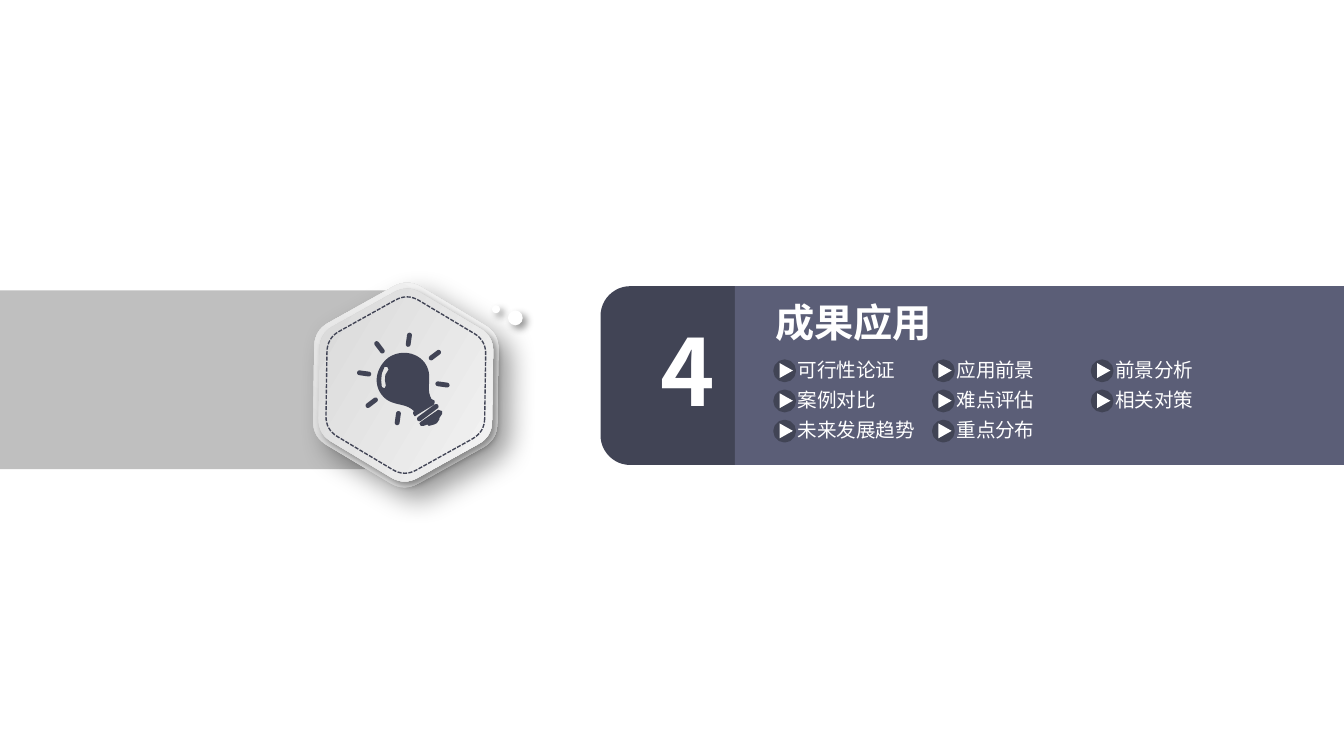
import math

from lxml import etree
from pptx import Presentation
from pptx.dml.color import RGBColor
from pptx.enum import dml, shapes, text
from pptx.oxml.ns import qn
from pptx.util import Cm, Pt

FONT = "Noto Sans CJK SC"
WHITE = RGBColor(0xFF, 0xFF, 0xFF)
GREY = RGBColor(0xBF, 0xBF, 0xBF)
NAVY = RGBColor(0x41, 0x44, 0x55)
SLATE = RGBColor(0x5B, 0x5E, 0x77)
SILVER = RGBColor(0xD3, 0xD3, 0xD3)
PALE = RGBColor(0xF9, 0xF9, 0xF9)
SHAPE = shapes.MSO_SHAPE

TITLE = "成果应用"
TOPICS = [
    ["可行性论证", "应用前景", "前景分析"],
    ["案例对比", "难点评估", "相关对策"],
    ["未来发展趋势", "重点分布"],
]

BULB = [
    [(59, 52), (60, 53), (59, 54), (59, 55)],
    [(46, 63), (45, 64), (44, 64), (44, 63)],
    [(44, 63), (43, 62), (43, 61), (44, 60)],
    [(44, 60), (37, 53), (27, 57), (20, 48)],
    [(20, 48), (13, 39), (16, 27), (25, 20)],
    [(25, 20), (34, 14), (46, 16), (52, 24)],
    [(52, 24), (59, 34), (52, 42), (57, 51)],
]
GLINT = [(24, 27), (22, 27), (20, 32), (19.5, 37), (20, 42),
         (22, 43), (23, 41), (22.3, 37), (22.6, 33), (25, 29)]
TIP = [(62, 59), (49, 68), (48, 69), (49, 71), (51, 71), (54, 70), (55, 71),
       (59, 70), (61, 69), (63, 66), (63, 65), (65, 62), (65, 60)]


def add_block(parent, kind, box, color):
    sp = parent.add_shape(kind, *[Cm(v) for v in box])
    sp.shadow.inherit = False
    sp.fill.solid()
    sp.fill.fore_color.rgb = color
    sp.line.fill.background()
    return sp


def add_shadow(sp, blur, dist):
    sp.shadow.inherit = False
    effects = sp.element.spPr.find(qn("a:effectLst"))
    shadow = etree.SubElement(
        effects, qn("a:outerShdw"), blurRad=str(Pt(blur)), dist=str(Pt(dist)),
        dir="2700000", algn="tl", rotWithShape="0")
    color = etree.SubElement(shadow, qn("a:srgbClr"), val="000000")
    etree.SubElement(color, qn("a:alpha"), val="40000")


def write(sp, words, size, bold=False, align=text.PP_ALIGN.LEFT, insets=None):
    tf = sp.text_frame
    tf.word_wrap = True
    tf.auto_size = text.MSO_AUTO_SIZE.NONE
    tf.vertical_anchor = text.MSO_ANCHOR.TOP
    if insets:
        tf.margin_left = tf.margin_right = Cm(insets[0])
        tf.margin_top = tf.margin_bottom = Cm(insets[1])
    p = tf.paragraphs[0]
    p.alignment = align
    p.line_spacing = 1.0
    p.space_before = Pt(0)
    r = p.add_run()
    r.text = words
    r.font.size = Pt(size)
    r.font.bold = bold
    r.font.name = FONT
    r.font.color.rgb = WHITE
    etree.SubElement(r.font._element, qn("a:ea"), typeface=FONT)


def add_outline(parent, contours):
    contours = [[(Cm(x), Cm(y)) for x, y in c] for c in contours]
    builder = parent.build_freeform(*contours[0][0])
    builder.add_line_segments(contours[0][1:], close=True)
    for c in contours[1:]:
        builder.move_to(*c[0])
        builder.add_line_segments(c[1:], close=True)
    sp = builder.convert_to_shape()
    sp.shadow.inherit = False
    return sp


def curve(points, steps=12):
    result = []
    for i in range(steps + 1):
        t = i / steps
        n = len(points) - 1
        weights = [math.comb(n, k) * t**k * (1 - t)**(n - k) for k in range(n + 1)]
        result.append(tuple(sum(w * pt[a] for w, pt in zip(weights, points))
                            for a in (0, 1)))
    return result


def polar(cx, cy, radius, degrees):
    a = math.radians(degrees)
    return cx + radius * math.cos(a), cy + radius * math.sin(a)


def capsule(start, end, radius):
    heading = math.degrees(math.atan2(end[1] - start[1], end[0] - start[0]))
    return ([polar(*end, radius, heading - 90 + 30 * i) for i in range(7)]
            + [polar(*start, radius, heading + 90 + 30 * i) for i in range(7)])


def add_hexagon(parent, cx, cy, height):
    radius = height / math.sqrt(3)
    corners = [polar(cx, cy, radius, 60 * i) for i in range(6)]
    outline = []
    for i, (x, y) in enumerate(corners):
        before, after = corners[i - 1], corners[(i + 1) % 6]
        near = [(x + 0.15 * (n[0] - x), y + 0.15 * (n[1] - y))
                for n in (before, after)]
        outline += curve([near[0], (x, y), near[1]], 8)
    sp = add_outline(parent, [outline])
    sp.rotation = 30.9
    return sp


def add_badge(s, cx, cy):
    group = s.shapes.add_group_shape().shapes
    for height, angle, blur, dist in [(3.48, 90, 15, 9), (3.28, 0, 4, 3)]:
        sp = add_hexagon(group, cx, cy, height)
        sp.fill.gradient()
        sp.fill.gradient_angle = angle
        for stop, color, pos in zip(sp.fill.gradient_stops, (SILVER, PALE), (0, 1)):
            stop.color.rgb = color
            stop.position = pos
        sp.line.fill.background()
        add_shadow(sp, blur, dist)
    stitch = add_hexagon(s.shapes, cx, cy, 3)
    stitch.fill.background()
    stitch.line.color.rgb = NAVY
    stitch.line.width = Pt(0.75)
    stitch.line.dash_style = dml.MSO_LINE.SQUARE_DOT


def add_bulb(s, left, top, size):
    rays = [capsule(polar(36, 36, 26, a), polar(36, 36, 33, a), 1.8)
            for a in range(8, 8 - 45 * 7, -45)]
    glass = [pt for part in BULB for pt in curve(part)]
    collar = capsule((48, 65.8), (60.5, 56.5), 1.8)
    unit = size / 71
    sp = add_outline(s.shapes, [[(left + x * unit, top + y * unit) for x, y in c]
                                for c in [glass, GLINT, collar, TIP, *rays]])
    sp.fill.solid()
    sp.fill.fore_color.rgb = NAVY
    sp.line.fill.background()


def add_topic(s, left, top, words):
    group = s.shapes.add_group_shape().shapes
    box = group.add_textbox(Cm(left + 0.43), Cm(top), Cm(2.54), Cm(0.48))
    write(box, words, 10.5, insets=(0, 0))
    dot = add_block(group, SHAPE.OVAL, (left, top + 0.07, 0.36, 0.36), NAVY)
    dot.line.color.rgb = NAVY
    dot.line.width = Pt(2)
    arrow = add_block(group, SHAPE.ISOSCELES_TRIANGLE,
                      (left + 0.07, top + 0.12, 0.28, 0.25), WHITE)
    arrow.rotation = 90


def add_banner(s, left, top, width, height):
    add_block(s.shapes, SHAPE.ROUNDED_RECTANGLE, (left, top, 13.64, height), NAVY)
    panel = add_block(s.shapes, SHAPE.RECTANGLE,
                      (left + 2.54, top, width - 2.54, height), SLATE)
    number = s.shapes.add_textbox(Cm(left + 0.89), Cm(top + 0.4), Cm(0.76), Cm(2.36))
    write(number, "4", 49.5, True, text.PP_ALIGN.CENTER)
    title = s.shapes.title
    title.left, title.top = Cm(left + 3.15), Cm(top + 0.15)
    title.width, title.height = Cm(5.69), Cm(1.09)
    write(title, TITLE, 21, True, insets=(0.15, 0.08))
    panel.element.addnext(title.element)
    for row, names in enumerate(TOPICS):
        for col, words in enumerate(names):
            add_topic(s, left + 3.3 + 3 * col, top + 1.35 + 0.57 * row, words)


def main():
    prs = Presentation()
    prs.slide_width, prs.slide_height = Cm(25.4), Cm(14.29)
    s = prs.slides.add_slide(prs.slide_layouts[5])
    add_block(s.shapes, SHAPE.RECTANGLE, (0, 5.49, 7.75, 3.38), GREY)
    add_badge(s, 7.67, 7.28)
    for x, y, size in [(9.3, 5.77, 0.15), (9.6, 5.87, 0.28)]:
        add_shadow(add_block(s.shapes, SHAPE.OVAL, (x, y, size, size), WHITE), 4, 3)
    add_banner(s, 11.35, 5.41, 14.1, 3.38)
    add_bulb(s, 6.71, 6.25, 1.8)
    prs.save("out.pptx")


if __name__ == "__main__":
    main()
